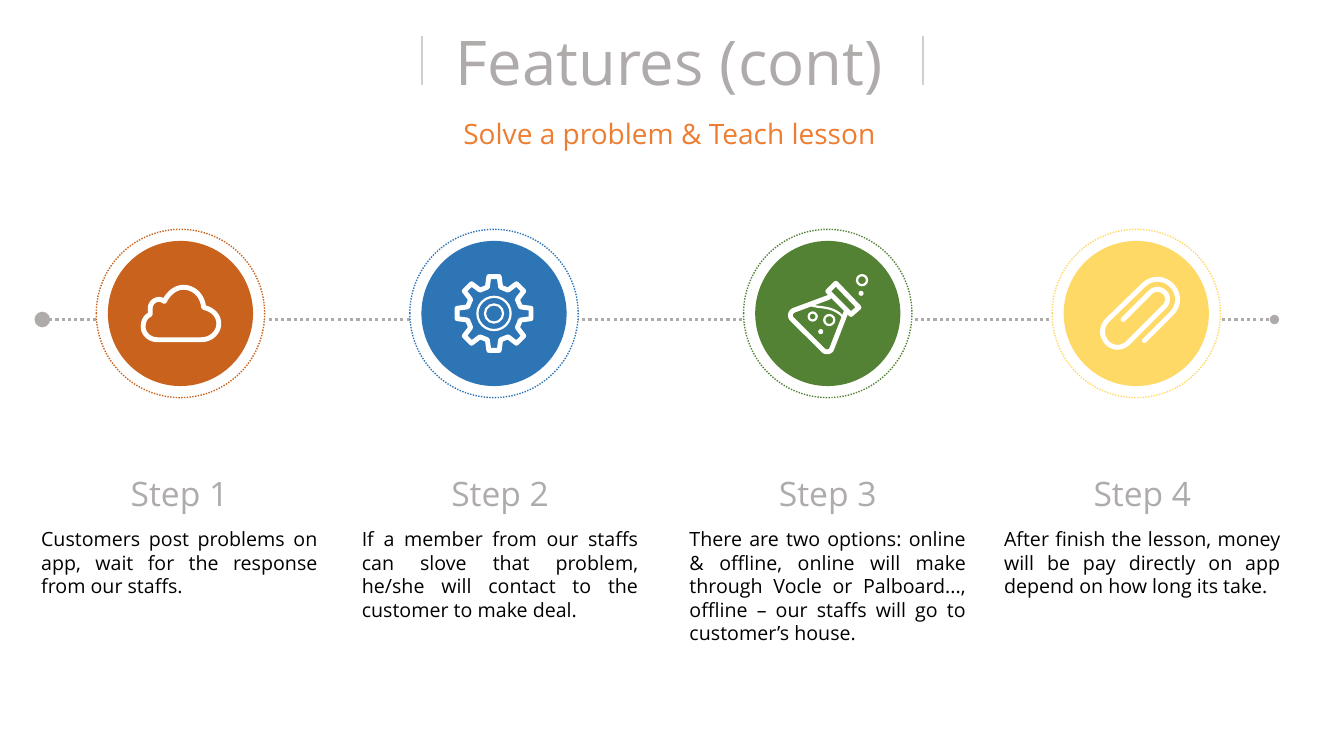
import math
import pptx
import pptx.util
import pptx.dml.color
import pptx.enum.dml
import pptx.enum.shapes
import pptx.enum.text
import pptx.oxml
import pptx.oxml.ns

WIDTH, HEIGHT = 13.33, 7.5
FONT, GRAY, WHITE = "Open Sans", "AFABAB", "FFFFFF"
DISC_Y, RING, DISC = 3.11, 1.67, 1.44
BOLD, THIN = 3.5, 1.6

STEPS = [
    dict(name="Step 1", icon="cloud", color="C8621C", disc_x=1.79, text_x=1.78, height=0.81,
         text="Customers post problems on app, wait for the response from our staffs."),
    dict(name="Step 2", icon="gear", color="2E75B6", disc_x=4.9, text_x=4.96, height=1.04,
         text="If a member from our staffs can slove that problem, he/she will contact to the "
              "customer to make deal."),
    dict(name="Step 3", icon="flask", color="548235", disc_x=8.21, text_x=8.21, height=1.28,
         text="There are two options: online & offline, online will make through Vocle or "
              "Palboard..., offline – our staffs will go to customer’s house."),
    dict(name="Step 4", icon="clip", color="FFD966", disc_x=11.27, text_x=11.33, height=0.81,
         text="After finish the lesson, money will be pay directly on app depend on how long "
              "its take."),
]

GEAR = [(r * math.cos(math.radians(45 * tooth + a)), r * math.sin(math.radians(45 * tooth + a)))
        for tooth in range(8) for r, a in ((27, -14), (37, -8), (37, 8), (27, 14))]

STROKES = {
    "cloud": [(BOLD, True, [
        (-23, 26), (-31, 26, -37, 20, -37, 13), (-37, 8, -35, 3, -30, 1),
        (-30, -2, -30, -3, -30, -5), (-30, -10, -26, -14, -21, -14),
        (-19, -14, -18, -13, -16, -12), (-12, -20, -5, -26, 3, -26),
        (13, -26, 22, -18, 23, -6), (32, -4, 38, 2, 38, 10), (38, 19, 30, 26, 21, 26)])],
    "gear": [(BOLD, True, GEAR)],
    "flask": [
        (BOLD, True, [(0, -22), (8, -30), (31, -6), (23, 1)]),
        (BOLD, False, [(1, -16), (-34, -3), (-37, -1, -38, 2, -36, 5), (-4, 37),
                       (-1, 39, 3, 38, 4, 35), (18, -1)]),
        (THIN, False, [(-16, -8), (-7, -5, 4, -8, 15, 3)])],
    "clip": [(BOLD, False, [
        (8, 27), (35, 0), (43, -8, 43, -20, 35, -28), (27, -36, 15, -36, 7, -28),
        (-29, 7), (-35, 14, -35, 22, -29, 29), (-23, 35, -14, 35, -8, 29),
        (28, -7), (32, -11, 32, -18, 28, -21), (24, -25, 18, -25, 14, -21), (-13, 6)])],
}
CIRCLES = {
    "gear": [(0, 0, 33, False), (0, 0, 18, False)],
    "flask": [(1.5, 6.5, 10, False), (34, -33, 10, False), (-15, 3, 8, False),
              (-7, 18, 5, True), (33, -20, 5, True)],
}

prs = pptx.Presentation()
prs.slide_width, prs.slide_height = pptx.util.Inches(WIDTH), pptx.util.Inches(HEIGHT)
slide = prs.slides.add_slide(prs.slide_layouts[6])
inch = pptx.util.Inches
qn = pptx.oxml.ns.qn
DOTS = pptx.enum.dml.MSO_LINE.ROUND_DOT
ALIGN = pptx.enum.text.PP_ALIGN


def rgb(value):
    return pptx.dml.color.RGBColor.from_string(value)


def add_child(parent, tag, **attrs):
    child = pptx.oxml.parse_xml("<a:%s %s/>" % (tag, pptx.oxml.ns.nsdecls("a")))
    for key, value in attrs.items():
        child.set(key, value)
    parent.append(child)


def paint(s, fill=None, line=None, width=1, dash=None):
    s.shadow.inherit = False
    if fill:
        s.fill.solid()
        s.fill.fore_color.rgb = rgb(fill)
    else:
        s.fill.background()
    if line:
        set_line(s, line, width, dash)
    else:
        s.line.fill.background()


def set_line(s, color, width, dash=None):
    s.line.color.rgb = rgb(color)
    s.line.width = pptx.util.Pt(width)
    if dash:
        s.line.dash_style = dash


def add_line(x1, y1, x2, y2, color, width, dash=None):
    s = slide.shapes.add_connector(pptx.enum.shapes.MSO_CONNECTOR.STRAIGHT,
                                   inch(x1), inch(y1), inch(x2), inch(y2))
    set_line(s, color, width, dash)
    add_child(s._element.spPr, "effectLst")
    return s


def add_circle(x, y, size, **style):
    s = slide.shapes.add_shape(pptx.enum.shapes.MSO_SHAPE.OVAL, inch(x - size / 2),
                               inch(y - size / 2), inch(size), inch(size))
    paint(s, **style)


def add_text(x, y, w, h, text, size, color, align=ALIGN.CENTER):
    tf = slide.shapes.add_textbox(inch(x - w / 2), inch(y), inch(w), inch(h)).text_frame
    tf.word_wrap = True
    p = tf.paragraphs[0]
    p.alignment = align
    r = p.add_run()
    r.text = text
    for key, value in dict(name=FONT, size=pptx.util.Pt(size)).items():
        setattr(r.font, key, value)
    r.font.color.rgb = rgb(color)


def trace(segments, samples=10):
    points = [segments[0]]
    for seg in segments[1:]:
        if len(seg) == 2:
            points.append(seg)
            continue
        nodes = [points[-1], seg[:2], seg[2:4], seg[4:]]
        for i in range(1, samples + 1):
            t = i / samples
            weights = [math.comb(3, k) * t ** k * (1 - t) ** (3 - k) for k in range(4)]
            points.append(tuple(sum(w * n[axis] for w, n in zip(weights, nodes))
                                for axis in (0, 1)))
    return [(x * 100, y * 100) for x, y in points]


def add_icon(icon, x, y):
    for width, closed, segments in STROKES[icon]:
        points = trace(segments)
        builder = slide.shapes.build_freeform(*points[0], scale=inch(1) / 10000)
        builder.add_line_segments(points[1:], close=closed)
        s = builder.convert_to_shape(inch(x), inch(y))
        paint(s, line=WHITE, width=width)
        ln = s._element.spPr.find(qn("a:ln"))
        ln.set("cap", "rnd")
        add_child(ln, "round")
    for dx, dy, size, solid in CIRCLES.get(icon, []):
        style = dict(fill=WHITE) if solid else dict(line=WHITE, width=THIN)
        add_circle(x + dx / 100, y + dy / 100, size / 100, **style)


timeline = add_line(0.42, 3.17, 12.64, 3.17, GRAY, 2.25, DOTS)
ln = timeline._element.spPr.find(qn("a:ln"))
for tag, size in (("headEnd", "lg"), ("tailEnd", "med")):
    add_child(ln, tag, type="oval", w=size, len=size)

add_text(6.64, 1.11, 6.61, 0.44, "Solve a problem & Teach lesson", 20, "ED7D31")
add_text(6.64, 0.19, 8.99, 0.84, "Features (cont)", 44, GRAY)
for x in (4.19, 9.15):
    add_line(x, 0.36, x, 0.84, "D0CECE", 1.5)

for step in STEPS:
    x, color = step["disc_x"], step["color"]
    add_text(step["text_x"], 4.64, 1.48, 0.5, step["name"], 24, GRAY)
    add_text(step["text_x"], 5.18, 2.94, step["height"], step["text"], 14, "000000",
             ALIGN.JUSTIFY)
    add_circle(x, DISC_Y, RING, fill=WHITE, line=color, width=1, dash=DOTS)
    add_circle(x, DISC_Y, DISC, fill=color)
    add_icon(step["icon"], x, DISC_Y)

prs.save("out.pptx")
